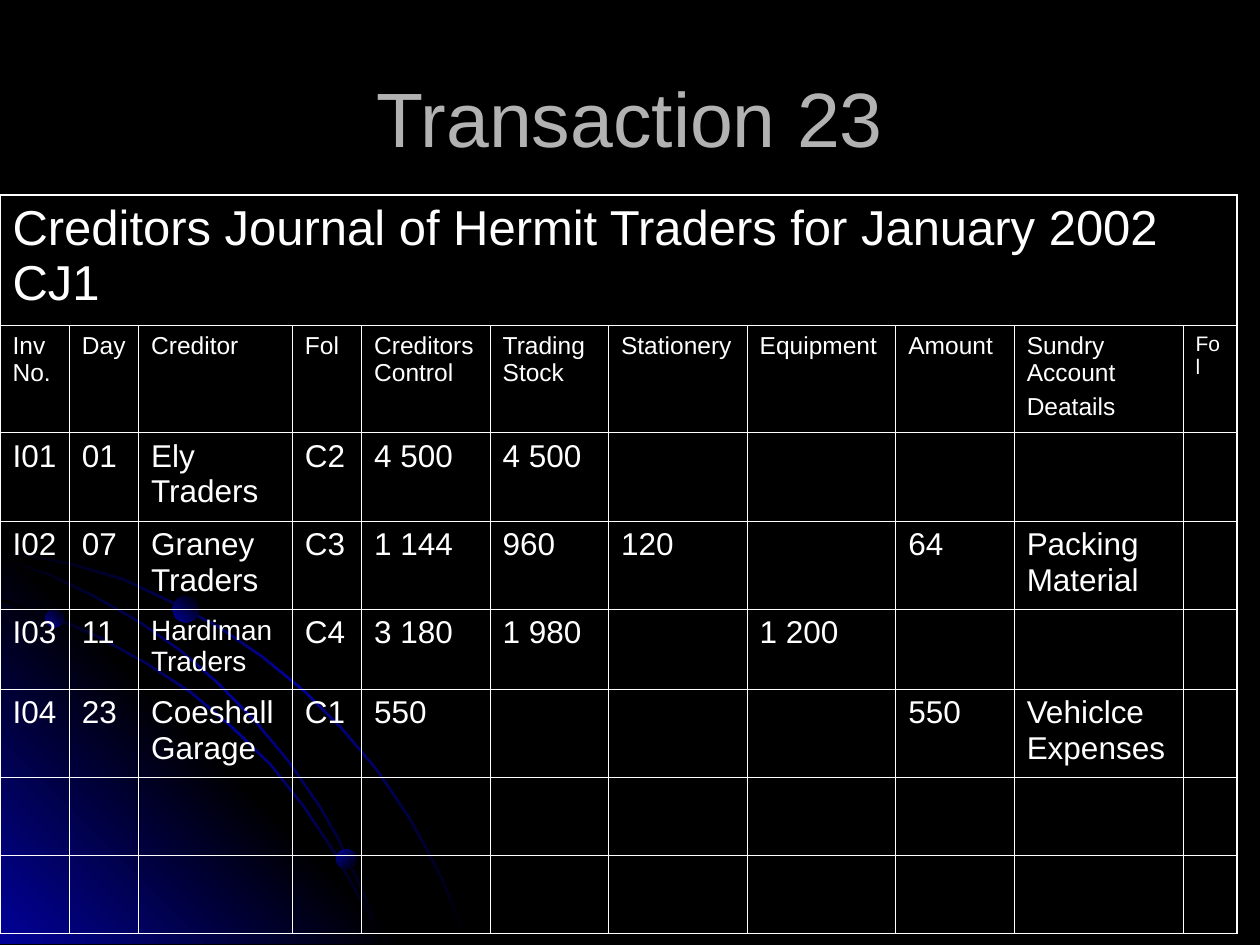
from dataclasses import dataclass

from lxml.etree import SubElement
from pptx import Presentation
from pptx.dml.color import RGBColor as Rgb
from pptx.enum.shapes import MSO_SHAPE as Preset
from pptx.enum.text import MSO_ANCHOR as Anchor, PP_ALIGN as Align
from pptx.oxml.ns import qn
from pptx.util import Inches, Pt


@dataclass(frozen=True)
class Theme:
    font: str = "Arial"
    black: str = "000000"
    blue: str = "010199"
    white: str = "FFFFFF"
    grey: str = "B2B2B2"
    title: int = 44
    caption: int = 28
    heading: int = 14
    small_heading: int = 12
    entry: int = 18
    small_entry: int = 16
    thin: float = 0.45
    thick: float = 1.08


THEME = Theme()
COLUMNS, ROWS = 100, 75  # grid laid over the slide


def write(frame, text, *, size, color, align=Align.LEFT, gap=0):
    """Fill a text frame, one paragraph per line, with a gap between them."""
    frame.word_wrap = True
    for index, line in enumerate(text.split("\n")):
        paragraph = frame.add_paragraph() if index else frame.paragraphs[0]
        paragraph.alignment = align
        if index:
            paragraph.space_before = Pt(gap)
        run = paragraph.add_run()
        run.text = line
        run.font.size = Pt(size)
        run.font.name = THEME.font
        run.font.color.rgb = Rgb.from_string(color)


def add_solid(parent, color):
    SubElement(SubElement(parent, qn("a:solidFill")), qn("a:srgbClr"), val=color)


class SlideBuilder:
    def __init__(self, deck, theme):
        self.theme = theme
        self.column = deck.slide_width / COLUMNS
        self.row = deck.slide_height / ROWS
        self.slide = deck.slides.add_slide(deck.slide_layouts[6])
        fill = self.slide.background.fill
        fill.solid()
        fill.fore_color.rgb = Rgb.from_string(theme.black)

    def x(self, columns):
        return round(columns * self.column)

    def y(self, rows):
        return round(rows * self.row)

    def box(self, left, top, width, height):
        return self.x(left), self.y(top), self.x(width), self.y(height)

    def shade(self, shape, colors, angle):
        """Spread the colours evenly along a clockwise angle."""
        shape.shadow.inherit = False
        shape.line.fill.background()
        shape.fill.gradient()
        shape.fill.gradient_angle = 360 - angle
        stops = shape.fill.gradient_stops
        stop_list = shape.element.spPr.find(qn("a:gradFill")).find(qn("a:gsLst"))
        for _ in range(len(stops)):
            stop_list.remove(stop_list[0])
        for index, color in enumerate(colors):
            position = 100000 * index // (len(colors) - 1)
            stop = SubElement(stop_list, qn("a:gs"), pos=str(position))
            SubElement(stop, qn("a:srgbClr"), val=color)

    def outline(self, points, colors, angle):
        corners = [(self.x(x), self.y(y)) for x, y in points]
        builder = self.slide.shapes.build_freeform(*corners[0], scale=1.0)
        builder.add_line_segments(corners[1:], close=True)
        self.shade(builder.convert_to_shape(), colors, angle)

    def orbit(self, edge, thickness=0.2):
        """A thin ribbon: its inner edge turns from below to left of the outer."""
        last = len(edge) - 1
        inner = [(x - thickness * i / last, y + thickness * (1 - i / last))
                 for i, (x, y) in enumerate(edge)]
        theme = self.theme
        self.outline(edge + inner[::-1], (theme.black, theme.blue, theme.black), 225)

    def planet(self, left, top, size, angle):
        ball = self.slide.shapes.add_shape(Preset.OVAL, *self.box(left, top, size, size))
        self.shade(ball, (self.theme.black, self.theme.blue), angle)

    def title(self, text, *place):
        frame = self.slide.shapes.add_textbox(*self.box(*place)).text_frame
        frame.vertical_anchor = Anchor.MIDDLE
        write(frame, text, size=self.theme.title, color=self.theme.grey, align=Align.CENTER)

    def border(self, cell, **widths):
        for side, width in widths.items():
            line = SubElement(cell._tc.get_or_add_tcPr(), qn(f"a:ln{side}"),
                              w=str(Pt(width)))
            add_solid(line, self.theme.white)

    def journal(self, caption, records, left, top, widths, heights, size_of):
        place = self.box(left, top, sum(widths), sum(heights))
        table = self.slide.shapes.add_table(len(heights), len(widths), *place).table
        table.first_row = table.horz_banding = False
        for column, width in zip(table.columns, widths):
            column.width = self.x(width)
        for row, height in zip(table.rows, heights):
            row.height = self.y(height)

        thin, thick = self.theme.thin, self.theme.thick
        last_row, last_column = len(heights) - 1, len(widths) - 1
        for r in range(len(heights)):
            for c in range(len(widths)):
                cell = table.cell(r, c)
                self.border(cell,
                            L=thick if c == 0 else thin,
                            R=thick if c == last_column or r == 0 else thin,
                            T=thick if r == 0 else thin,
                            B=thick if r == last_row else thin)
                cell.fill.background()
        table.cell(0, 0).merge(table.cell(0, last_column))

        for r, record in enumerate([(caption,), *records]):
            for c, text in enumerate(record):
                if text:
                    write(table.cell(r, c).text_frame, text, size=size_of(r, c),
                          color=self.theme.white, gap=3.5)


# Outer edges of the three orbits, in columns and rows
ORBITS = [
    [(0, 43.5), (2.8, 44.1), (5.7, 44.7), (9.8, 45.9), (13.6, 47.7), (17.4, 49.7),
     (20.9, 52.1), (24.2, 54.8), (27.2, 57.8), (30, 61.1), (32.5, 64.8),
     (33.9, 67.3), (35.2, 69.8), (36.2, 72.3), (37.2, 74.9)],
    [(0, 47.5), (4.1, 48.8), (7.9, 50.5), (11.7, 52.6), (15.2, 54.9), (18.4, 57.6),
     (21.5, 60.6), (24.2, 64), (26.6, 67.6), (28.6, 71.2), (29.6, 73), (30.3, 74.9)],
    [(0, 44.2), (3.9, 45.5), (7.6, 47.3), (11.1, 49.3), (14.4, 51.6), (17.5, 54.3),
     (20.4, 57.3), (22.9, 60.3), (25.4, 63.9), (26.9, 66.5), (28.2, 69.3),
     (29.4, 72), (30.3, 74.9)],
]
PLANETS = [(3.6, 48.3, 1.5, 135), (26.7, 67.4, 1.6, 225), (13.7, 47.3, 2.1, 135)]

CAPTION = "Creditors Journal of Hermit Traders for January 2002 CJ1"
RECORDS = [
    ("Inv No.", "Day", "Creditor", "Fol", "Creditors Control", "Trading Stock",
     "Stationery", "Equipment", "Amount", "Sundry Account\nDeatails", "Fol"),
    ("I01", "01", "Ely Traders", "C2", "4 500", "4 500"),
    ("I02", "07", "Graney Traders", "C3", "1 144", "960", "120", "", "64",
     "Packing Material"),
    ("I03", "11", "Hardiman Traders", "C4", "3 180", "1 980", "", "1 200"),
    ("I04", "23", "Coeshall Garage", "C1", "550", "", "", "", "550",
     "Vehiclce Expenses"),
]
WIDTHS = [5.5, 5.5, 12.2, 5.5, 10.2, 9.4, 11, 11.8, 9.4, 13.4, 4.3]
HEIGHTS = [10.3, 8.4, 7, 7, 6.3, 7, 6.2, 6.2]


def journal_size(row, column):
    exceptions = {(1, 10): THEME.small_heading, (4, 2): THEME.small_entry}
    by_row = {0: THEME.caption, 1: THEME.heading}
    return exceptions.get((row, column), by_row.get(row, THEME.entry))


def main():
    deck = Presentation()
    deck.slide_width, deck.slide_height = Inches(10), Inches(7.5)
    page = SlideBuilder(deck, THEME)

    # Night sky: glowing corner, orbits and planets
    page.orbit(ORBITS[0])
    page.outline([(0, 42.7), (32.2, 74.9), (0, 74.9)],
                 (THEME.blue, THEME.black, THEME.blue), 135)
    for edge in ORBITS[1:]:
        page.orbit(edge)
    for planet in PLANETS:
        page.planet(*planet)

    # Heading and journal
    page.title("Transaction 23", 5, 3, 90, 12.5)
    page.journal(CAPTION, RECORDS, 0, 15.5, WIDTHS, HEIGHTS, journal_size)

    deck.save("out.pptx")


if __name__ == "__main__":
    main()
